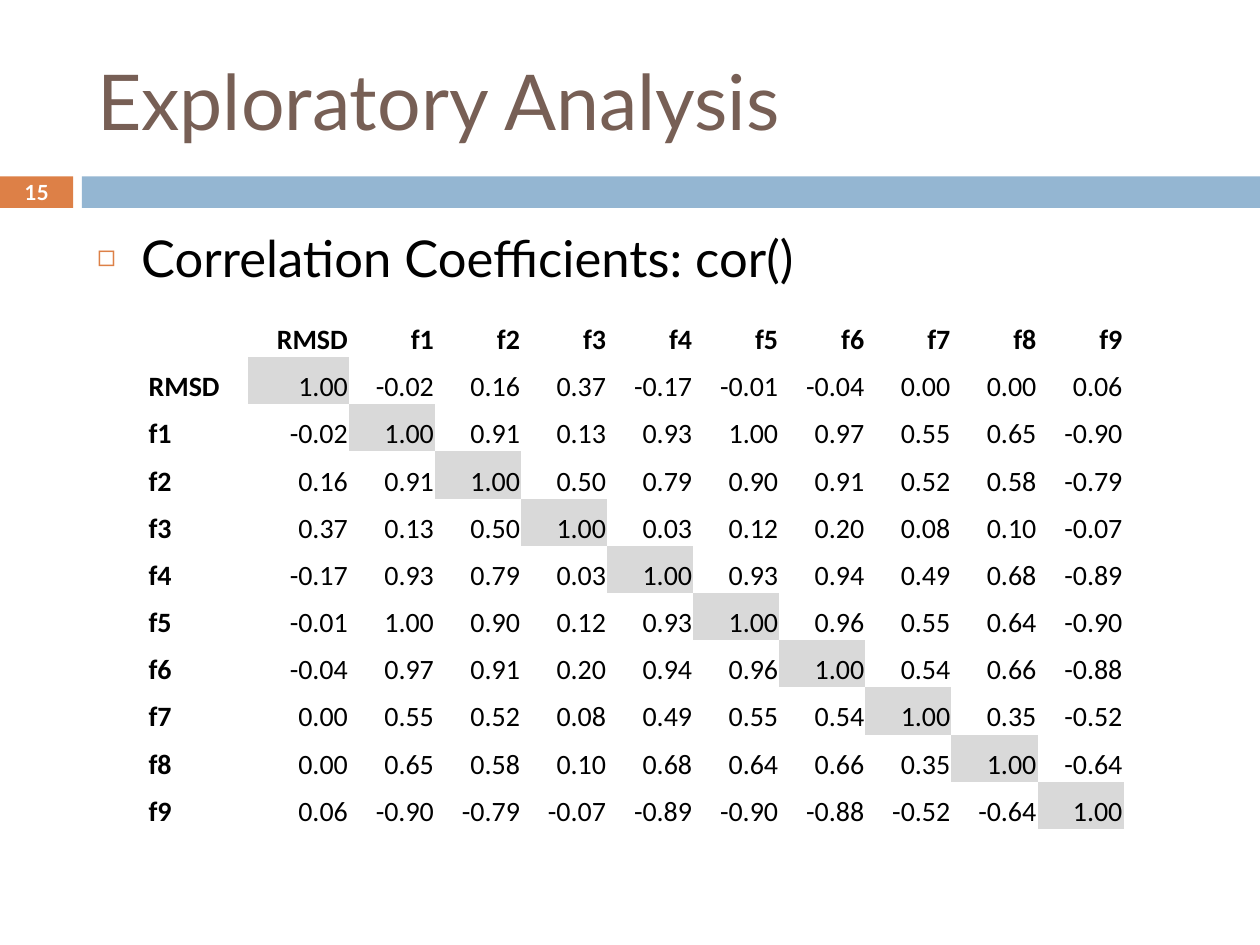
import dataclasses
import lxml.etree
import pptx
import pptx.dml.color
import pptx.enum.shapes
import pptx.enum.text
import pptx.oxml.ns
import pptx.util

Inches = pptx.util.Inches
Pt = pptx.util.Pt
Align = pptx.enum.text.PP_ALIGN
Anchor = pptx.enum.text.MSO_ANCHOR
qn = pptx.oxml.ns.qn

ORANGE, BLUE, BROWN = "DD8047", "94B6D2", "775F55"
BLACK, WHITE, GREY = "000000", "FFFFFF", "D9D9D9"
NO_GRID = "{2D5ABB26-0587-4C30-8999-92F81FD0307C}"

# Lower triangle of the symmetric matrix, without its diagonal of ones
NAMES = ["RMSD"] + [f"f{n}" for n in range(1, 10)]
LOWER = [
    [],
    [-0.02],
    [0.16, 0.91],
    [0.37, 0.13, 0.50],
    [-0.17, 0.93, 0.79, 0.03],
    [-0.01, 1.00, 0.90, 0.12, 0.93],
    [-0.04, 0.97, 0.91, 0.20, 0.94, 0.96],
    [0.00, 0.55, 0.52, 0.08, 0.49, 0.55, 0.54],
    [0.00, 0.65, 0.58, 0.10, 0.68, 0.64, 0.66, 0.35],
    [0.06, -0.90, -0.79, -0.07, -0.89, -0.90, -0.88, -0.52, -0.64],
]


@dataclasses.dataclass
class Box:
    left: float
    top: float
    width: float
    height: float

    def size(self) -> list:
        return [Inches(n) for n in dataclasses.astuple(self)]


@dataclasses.dataclass
class Style:
    size: float
    color: str
    face: str = "Lato"
    bold: bool = False
    align: Align = Align.LEFT


@dataclasses.dataclass
class Bar:
    box: Box
    color: str


BARS = [Bar(Box(0, 1.4, 0.58, 0.25), ORANGE), Bar(Box(0.65, 1.4, 9.35, 0.25), BLUE)]


def rgb(code: str) -> pptx.dml.color.RGBColor:
    return pptx.dml.color.RGBColor.from_string(code)


def write(frame, text: str, style: Style):
    """Fill a text frame with one styled paragraph."""
    para = frame.paragraphs[0]
    para.text = text
    para.alignment = style.align
    font = para.font
    font.name, font.size, font.bold = style.face, Pt(style.size), style.bold
    font.color.rgb = rgb(style.color)
    return para


def place(shape, box: Box, anchor: Anchor) -> None:
    shape.left, shape.top, shape.width, shape.height = box.size()
    frame = shape.text_frame
    frame.word_wrap = True
    frame.auto_size = pptx.enum.text.MSO_AUTO_SIZE.NONE
    frame.vertical_anchor = anchor


def draw_bar(slide, bar: Bar) -> None:
    kind = pptx.enum.shapes.MSO_SHAPE.RECTANGLE
    shape = slide.shapes.add_shape(kind, *bar.box.size())
    shape.shadow.inherit = False
    shape.fill.solid()
    shape.fill.fore_color.rgb = rgb(bar.color)
    shape.line.fill.background()


def add_bullet(para) -> None:
    props = para._p.get_or_add_pPr()
    props.set("marL", str(Inches(0.35)))
    props.set("indent", str(-Inches(0.35)))
    tint = lxml.etree.Element(qn("a:buClr"))
    lxml.etree.SubElement(tint, qn("a:srgbClr"), val=ORANGE)
    scale = lxml.etree.Element(qn("a:buSzPct"), val="60000")
    mark = lxml.etree.Element(qn("a:buChar"), char="\u25fb")
    # Bullet parts come before the default run properties
    for part in (tint, scale, mark):
        props.find(qn("a:defRPr")).addprevious(part)


def value(row: int, col: int) -> str:
    if row == col:
        return "1.00"
    return f"{LOWER[max(row, col)][min(row, col)]:.2f}"


def draw_cell(cell, text: str, style: Style, shade: bool) -> None:
    cell.margin_left = cell.margin_right = cell.margin_top = Inches(0.01)
    cell.margin_bottom = 0
    cell.vertical_anchor = Anchor.BOTTOM
    if shade:
        cell.fill.solid()
        cell.fill.fore_color.rgb = rgb(GREY)
    else:
        cell.fill.background()
    write(cell.text_frame, text, style)


def draw_table(slide, box: Box) -> None:
    count = len(NAMES) + 1
    table = slide.shapes.add_table(count, count, *box.size()).table
    table.first_row = table.horz_banding = False
    table._tbl.tblPr.find(qn("a:tableStyleId")).text = NO_GRID
    wide = 0.8
    for n, col in enumerate(table.columns):
        col.width = Inches(wide if n < 2 else (box.width - 2 * wide) / (count - 2))
    for row in table.rows:
        row.height = Inches(box.height / count)
    for r in range(count):
        for c in range(count):
            head = r == 0 or c == 0
            text = value(r - 1, c - 1) if not head else ([""] + NAMES)[r + c]
            align = Align.RIGHT if c else Align.LEFT
            style = Style(16, BLACK, "Calibri", head, align)
            draw_cell(table.cell(r, c), text, style, r == c and not head)


deck = pptx.Presentation()
deck.slide_width, deck.slide_height = Inches(10), Inches(7.5)
slide = deck.slides.add_slide(deck.slide_layouts[1])

# Bars and slide number
for bar in BARS:
    draw_bar(slide, bar)
page = Box(0, 1.39, 0.58, 0.27)
label = slide.shapes.add_textbox(*page.size())
place(label, page, Anchor.MIDDLE)
write(label.text_frame, "15", Style(11.9, WHITE, bold=True, align=Align.CENTER))

# Title and bullet
title = slide.shapes.title
place(title, Box(0.67, 0.25, 8.92, 1.08), Anchor.MIDDLE)
write(title.text_frame, "Exploratory Analysis", Style(44, BROWN))
body = slide.placeholders[1]
place(body, Box(0.67, 1.75, 8.92, 4.92), Anchor.TOP)
point = write(body.text_frame, "Correlation Coefficients: cor()", Style(29, BLACK))
point.space_before = Pt(7)
add_bullet(point)

# Correlation table
draw_table(slide, Box(1.17, 2.46, 7.75, 4.12))

deck.save("out.pptx")
